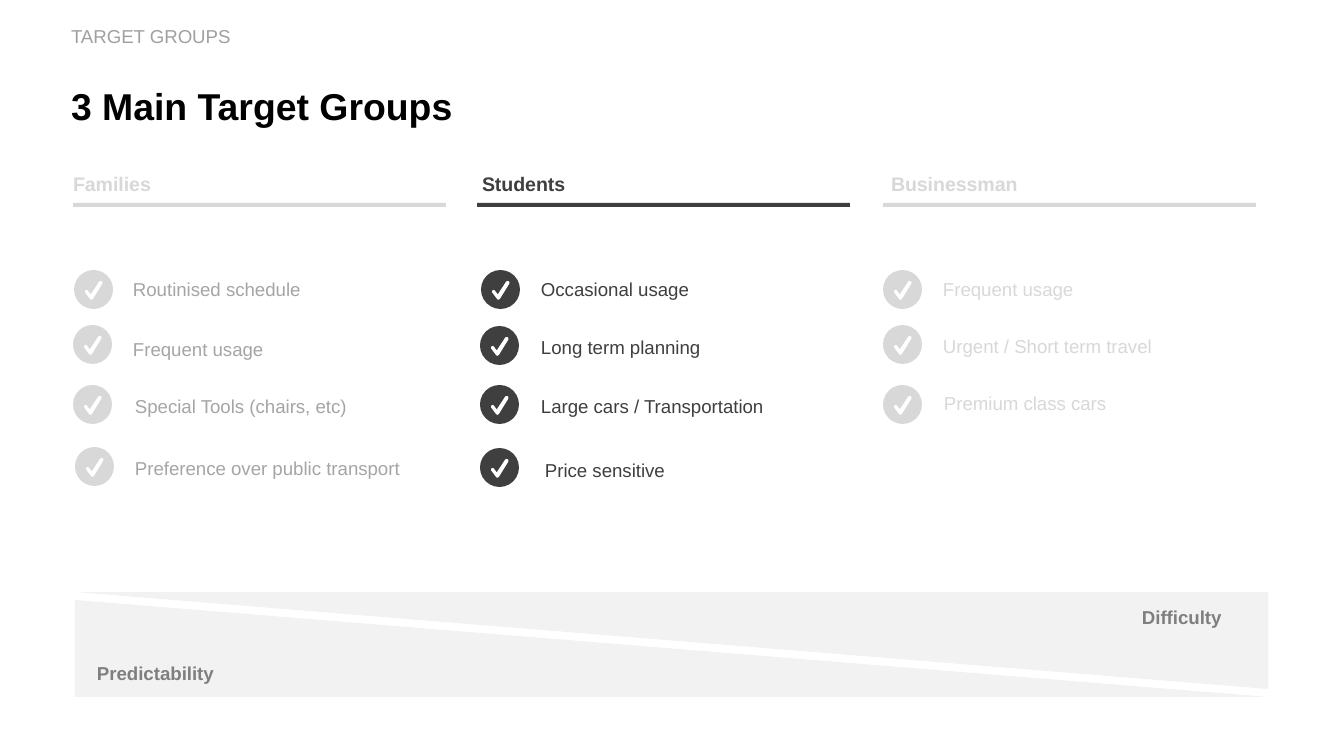
from pptx import Presentation
from pptx.dml.color import RGBColor
from pptx.enum.shapes import MSO_SHAPE
from pptx.enum.text import MSO_ANCHOR, MSO_AUTO_SIZE, PP_ALIGN
from pptx.util import Emu, Pt

FONT = "Arial"
DARK, SOFT, PALE, BAND, WHITE = "3F3F3F", "A5A5A5", "D8D8D8", "F2F2F2", "FFFFFF"
CIRCLE_SIZE = 39
TICK_OFFSET = 11
TICK_OUTLINE = [
    (67, 188), (59, 187), (51, 181), (3, 116), (0, 104), (7, 93), (18, 90),
    (28, 95), (58, 135), (138, 12), (149, 1), (165, 2), (175, 13), (172, 29),
    (80, 178),
]
COLUMNS = [
    ("Families", 60, 73, PALE, SOFT, [
        ("Routinised schedule", (74, 270), (120, 271)),
        ("Frequent usage", (73, 325), (120, 331)),
        ("Special Tools (chairs, etc)", (73, 385), (122, 388)),
        ("Preference over public transport", (75, 447), (122, 450)),
    ]),
    ("Students", 469, 477, DARK, DARK, [
        ("Occasional usage", (481, 270), (528, 271)),
        ("Long term planning", (480, 326), (528, 329)),
        ("Large cars / Transportation", (480, 385), (528, 388)),
        ("Price sensitive", (480, 448), (532, 452)),
    ]),
    ("Businessman", 878, 883, PALE, PALE, [
        ("Frequent usage", (883, 270), (930, 271)),
        ("Urgent / Short term travel", (883, 325), (930, 328)),
        ("Premium class cars", (883, 385), (931, 385)),
    ]),
]


def px(value):
    return Emu(round(value * 914400 / 134.4))


def color(value):
    return RGBColor.from_string(value)


def paint(shape, fill):
    shape.shadow.inherit = False
    shape.fill.solid()
    shape.fill.fore_color.rgb = color(fill)
    shape.line.fill.background()


def add_block(slide, kind, left, top, width, height, fill):
    shape = slide.shapes.add_shape(kind, px(left), px(top), px(width), px(height))
    paint(shape, fill)
    return shape


def write(shape, text, size, ink, bold=False, anchor=MSO_ANCHOR.TOP, inset=7):
    frame = shape.text_frame
    frame.word_wrap = True
    frame.auto_size = MSO_AUTO_SIZE.NONE
    frame.vertical_anchor = anchor
    frame.margin_left = frame.margin_right = px(13)
    frame.margin_top = frame.margin_bottom = px(inset)
    paragraph = frame.paragraphs[0]
    paragraph.alignment = PP_ALIGN.LEFT
    paragraph.space_before = Pt(0)
    run = paragraph.add_run()
    run.text = text
    run.font.name = FONT
    run.font.size = Pt(size)
    run.font.bold = bold
    run.font.color.rgb = color(ink)
    return paragraph


def add_label(slide, text, left, top, ink, width=356, height=36, size=10, **style):
    box = slide.shapes.add_textbox(px(left), px(top), px(width), px(height))
    write(box, text, size, ink, **style)


def place(shape, left, top, width, height):
    shape.left, shape.top = px(left), px(top)
    shape.width, shape.height = px(width), px(height)


def add_check(slide, left, top, fill):
    add_block(slide, MSO_SHAPE.OVAL, left, top, CIRCLE_SIZE, CIRCLE_SIZE, fill)
    builder = slide.shapes.build_freeform(*TICK_OUTLINE[0], scale=px(1) / 10)
    builder.add_line_segments(TICK_OUTLINE[1:], close=True)
    tick = builder.convert_to_shape(px(left + TICK_OFFSET), px(top + TICK_OFFSET))
    paint(tick, WHITE)


def add_column(slide, heading, heading_left, bar_left, accent, ink, items):
    add_label(slide, heading, heading_left, 163, accent, width=362, height=42,
              size=10.5, bold=True, anchor=MSO_ANCHOR.MIDDLE, inset=13)
    add_block(slide, MSO_SHAPE.RECTANGLE, bar_left, 203, 373, 4, accent)
    for text, circle, label in items:
        add_check(slide, *circle, accent)
        add_label(slide, text, *label, ink)


def add_scale_band(slide):
    add_block(slide, MSO_SHAPE.RIGHT_TRIANGLE, 75, 600, 1193, 97, BAND)
    upper = add_block(slide, MSO_SHAPE.RIGHT_TRIANGLE, 75, 592, 1193, 97, BAND)
    upper.rotation = 180
    add_label(slide, "Predictability", 84, 655, "7F7F7F", bold=True)
    add_label(slide, "Difficulty", 1129, 599, "7F7F7F", width=200, bold=True)


def add_titles(slide):
    title, section = slide.placeholders
    place(section, 58, 23, 402, 27)
    write(section, "TARGET GROUPS", 10, "A0A0A0", anchor=MSO_ANCHOR.MIDDLE, inset=13)
    place(title, 58, 77, 1266, 77)
    paragraph = write(title, "3 Main Target Groups", 20, "000000", bold=True, inset=13)
    paragraph.line_spacing = 0.85


def main():
    presentation = Presentation()
    presentation.slide_width, presentation.slide_height = px(1344), px(756)
    slide = presentation.slides.add_slide(presentation.slide_layouts[0])
    add_titles(slide)
    for column in COLUMNS:
        add_column(slide, *column)
    add_scale_band(slide)
    presentation.save("out.pptx")


if __name__ == "__main__":
    main()
